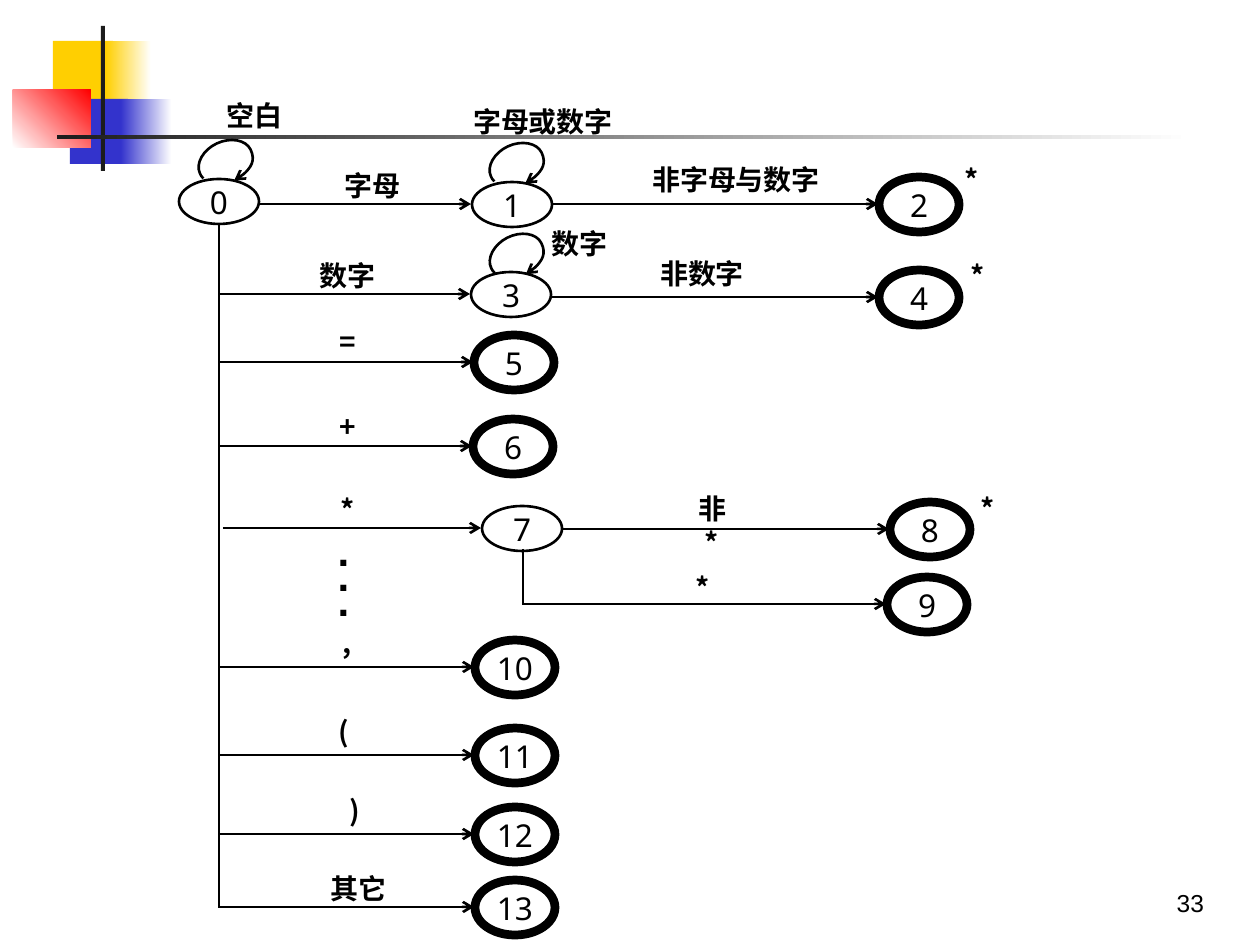
from dataclasses import dataclass
from typing import Optional

from lxml.etree import SubElement
from pptx import Presentation
from pptx.dml.color import RGBColor
from pptx.enum.shapes import MSO_CONNECTOR as Conn, MSO_SHAPE as Geo
from pptx.enum.text import MSO_ANCHOR as Anchor, MSO_AUTO_SIZE as Fit, PP_ALIGN as Align
from pptx.oxml.ns import qn
from pptx.util import Emu, Pt

SCALE = 914400 / 126
COLORS = {"ink": "000000", "gold": "FFCF01", "blue": "3333CC",
          "red": "FF0000", "dark": "1C1C1C", "white": "FFFFFF"}
CJK = "Noto Sans CJK SC"


@dataclass
class Block:
    """A decorative rectangle, plain or fading between two colours."""
    x: int
    y: int
    w: int
    h: int
    color: str
    fade: Optional[str] = None
    angle: int = 0


@dataclass
class State:
    """An automaton state and the x where its incoming arrow starts."""
    name: str
    x: int
    y: int
    source: Optional[int] = None
    final: bool = True

    @property
    def h(self) -> int:
        """Return the height of the ellipse."""
        return 55 if self.final else 45


@dataclass
class Label:
    """A transition label."""
    text: str
    x: int
    y: int
    w: int = 14
    wrap: bool = False


@dataclass
class Loop:
    """A self-transition: an open ellipse turned by some degrees."""
    x: int
    y: int
    turn: int


BLOCKS = [
    Block(53, 41, 60, 65, "gold"),
    Block(106, 41, 45, 65, "gold", "white"),
    Block(70, 99, 58, 65, "blue"),
    Block(121, 99, 51, 65, "blue", "white"),
    Block(13, 90, 78, 58, "white", "red", 45),
    Block(101, 26, 4, 145, "dark"),
    Block(57, 135, 1134, 4, "dark", "white"),
]
STATES = [
    State("0", 179, 179, final=False),
    State("1", 472, 182, 258, False),
    State("2", 879, 177, 551),
    State("3", 471, 272, 219, False),
    State("4", 879, 270, 551),
    State("5", 474, 335, 219),
    State("6", 473, 419, 219),
    State("7", 482, 506, 223, False),
    State("8", 890, 502, 561),
    State("9", 887, 577, 522),
    State("10", 475, 640, 220),
    State("11", 475, 728, 220),
    State("12", 475, 807, 220),
    State("13", 475, 880, 220),
]
LABELS = [
    Label("空白", 227, 98, 55), Label("字母", 345, 169, 55),
    Label("字母或数字", 473, 105, 140), Label("非字母与数字", 652, 163, 168),
    Label("数字", 320, 259, 55), Label("非数字", 660, 257, 84),
    Label("数字", 552, 227, 55), Label("=", 341, 325), Label("+", 341, 410),
    Label("*", 341, 493), Label("非*", 694, 492, 36, True),
    Label(",", 340, 626), Label("(", 337, 715), Label(")", 348, 794),
    Label("其它", 331, 872, 55), Label("*", 981, 492), Label("*", 965, 163),
    Label("*", 971, 259), Label("*", 696, 571),
]
LOOPS = [Loop(205, 134, 65), Loop(496, 137, 65), Loop(496, 228, 63)]
LOOP_START = (26, 55)
LOOP_CURVES = [
    [(24, 56), (22, 56), (20, 56)],
    [(9, 56), (0, 43), (0, 28)],
    [(0, 13), (9, 0), (20, 0)],
    [(32, 0), (41, 13), (41, 28)],
]

prs = Presentation()
prs.slide_width, prs.slide_height = Emu(9144000), Emu(6858000)
s = prs.slides.add_slide(prs.slide_layouts[6])


def px(n: int) -> Emu:
    """Turn pixels into EMU."""
    return Emu(round(n * SCALE))


def rgb(name: str) -> RGBColor:
    """Look up a colour by name."""
    return RGBColor.from_string(COLORS[name])


def write(sp, text: str, *, font: str, size: int, bold: bool = False, align=Align.CENTER,
          anchor=Anchor.TOP, margins=(0, 0), wrap: bool = False, spacing: float = 1.0,
          fit=Fit.NONE) -> None:
    """Fill a shape with formatted text, one paragraph per line."""
    tf = sp.text_frame
    tf.word_wrap, tf.auto_size, tf.vertical_anchor = wrap, fit, anchor
    tf.margin_left = tf.margin_right = px(margins[0])
    tf.margin_top = tf.margin_bottom = px(margins[1])
    for i, line in enumerate(text.split("\n")):
        p = tf.add_paragraph() if i else tf.paragraphs[0]
        p.alignment, p.line_spacing = align, spacing
        r = p.add_run()
        r.text = line
        r.font.name, r.font.size, r.font.bold = font, Pt(size), bold
        r.font.color.rgb = rgb("ink")
        SubElement(r.font._element, qn("a:ea")).set("typeface", font)


def add_text(x: int, y: int, w: int, h: int, text: str, **fmt) -> None:
    """Add a text box."""
    write(s.shapes.add_textbox(px(x), px(y), px(w), px(h)), text, **fmt)


def stroke(sp, width: float = 1.5, arrow: bool = False) -> None:
    """Set a black outline, with an arrowhead at the end if asked."""
    sp.line.color.rgb, sp.line.width = rgb("ink"), Pt(width)
    if arrow:
        SubElement(sp.line._get_or_add_ln(), qn("a:tailEnd")).set("type", "arrow")


def add_block(b: Block) -> None:
    """Draw a decorative rectangle."""
    sp = s.shapes.add_shape(Geo.RECTANGLE, px(b.x), px(b.y), px(b.w), px(b.h))
    sp.shadow.inherit = False
    sp.line.fill.background()
    if b.fade is None:
        sp.fill.solid()
        sp.fill.fore_color.rgb = rgb(b.color)
        return
    sp.fill.gradient()
    sp.fill.gradient_angle = b.angle
    for stop, color in zip(sp.fill.gradient_stops, (b.color, b.fade)):
        stop.color.rgb = rgb(color)


def add_line(x1: int, y1: int, x2: int, y2: int, arrow: bool = False) -> None:
    """Draw a straight line."""
    c = s.shapes.add_connector(Conn.STRAIGHT, px(x1), px(y1), px(x2), px(y2))
    stroke(c, arrow=arrow)
    SubElement(c._element.spPr, qn("a:effectLst"))


def add_state(st: State) -> None:
    """Draw a state with its incoming arrow."""
    sp = s.shapes.add_shape(Geo.OVAL, px(st.x), px(st.y), px(80), px(st.h))
    sp.shadow.inherit = False
    sp.fill.background()
    stroke(sp, 5 if st.final else 1.5)
    write(sp, st.name, font="Noto Sans", size=18, anchor=Anchor.MIDDLE, margins=(5, 6))
    if st.source is not None:
        mid = st.y + st.h // 2
        add_line(st.source, mid, st.x - 1, mid, True)


def add_loop(loop: Loop) -> None:
    """Draw a self-transition with Bezier curves."""
    fb = s.shapes.build_freeform(*LOOP_START, scale=SCALE)
    fb.add_line_segments([q for curve in LOOP_CURVES for q in curve], close=False)
    sp = fb.convert_to_shape(px(loop.x), px(loop.y))
    segments = list(sp._element.iter(qn("a:lnTo")))
    for i in range(0, len(segments), 3):
        curve = SubElement(segments[i].getparent(), qn("a:cubicBezTo"))
        for segment in segments[i:i + 3]:
            curve.append(segment[0])
            segment.getparent().remove(segment)
    sp.left, sp.top, sp.rotation = px(loop.x), px(loop.y), loop.turn
    sp.shadow.inherit = False
    sp.fill.background()
    stroke(sp, arrow=True)


for block in BLOCKS:
    add_block(block)
add_text(955, 860, 262, 63, "33", font="Arial", size=14, align=Align.RIGHT,
         anchor=Anchor.BOTTOM, margins=(13, 6), wrap=True)
add_line(219, 224, 219, 908)
add_line(523, 549, 523, 604)
for state in STATES:
    add_state(state)
for label in LABELS:
    add_text(label.x, label.y, label.w, 34, label.text, font=CJK, size=16,
             bold=True, wrap=label.wrap)
for self_loop in LOOPS:
    add_loop(self_loop)
add_text(319, 538, 49, 92, ".\n.\n.", font="Arial", size=24, bold=True, anchor=Anchor.MIDDLE,
         margins=(13, 6), wrap=True, spacing=0.5, fit=Fit.SHAPE_TO_FIT_TEXT)
prs.save("out.pptx")
